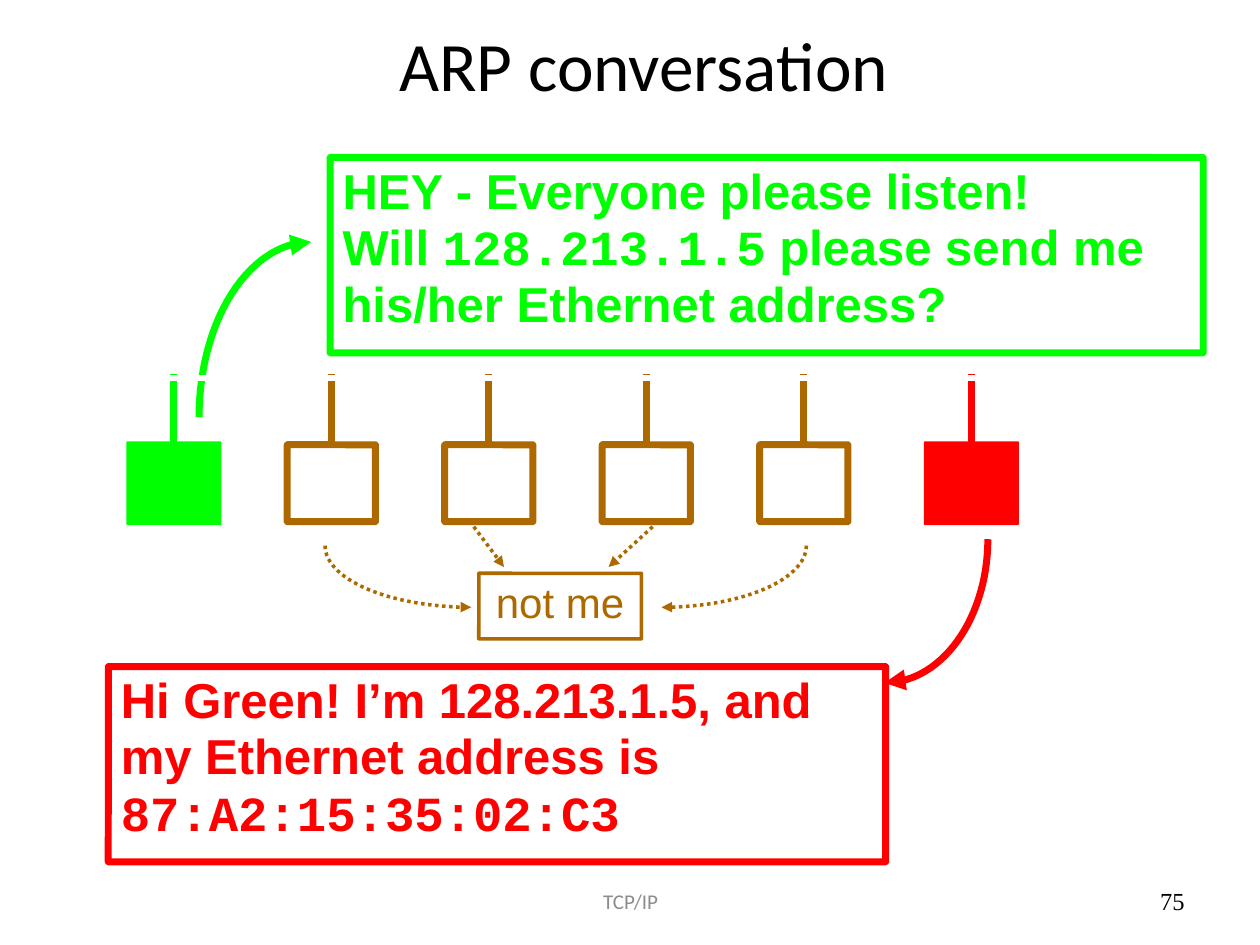
from dataclasses import dataclass
from math import cos, pi, sin

from lxml import etree
from pptx import Presentation
from pptx.dml.color import RGBColor
from pptx.enum.dml import MSO_LINE
from pptx.enum.shapes import MSO_CONNECTOR, MSO_SHAPE
from pptx.enum.text import MSO_ANCHOR, PP_ALIGN
from pptx.oxml.ns import qn
from pptx.util import Inches, Pt

ROUNDED = MSO_SHAPE.ROUNDED_RECTANGLE
STRAIGHT = MSO_CONNECTOR.STRAIGHT
DOTTED = MSO_LINE.ROUND_DOT
TOP, MIDDLE = MSO_ANCHOR.TOP, MSO_ANCHOR.MIDDLE
LEFT, CENTER, RIGHT = PP_ALIGN.LEFT, PP_ALIGN.CENTER, PP_ALIGN.RIGHT
GREEN, RED, BROWN = "00FF00", "FF0000", "AD6900"
WHITE, BLACK, GRAY = "FFFFFF", "000000", "8C8C8C"
SANS, MONO = "Arial", "Courier New"
ARC_STEPS = 30
WIRE_TOP = 2.97


@dataclass(frozen=True)
class Station:
    """A host on the network, with an optional solid fill."""
    center: float
    color: str
    solid: bool = False


@dataclass(frozen=True)
class Arrow:
    """An arrow from its start to its tip."""
    start: tuple[float, float]
    tip: tuple[float, float]
    color: str = BROWN
    width: float = 2
    dash: MSO_LINE | None = DOTTED


def rgb(color: str) -> RGBColor:
    """Turn a hex string into a colour."""
    return RGBColor.from_string(color)


def style_line(shape, color: str, width: float, dash=None, arrow=False) -> None:
    """Format an outline or a line, with an arrowhead at its end if asked."""
    shape.line.color.rgb = rgb(color)
    shape.line.width = Pt(width)
    if dash is not None:
        shape.line.dash_style = dash
    if arrow:
        etree.SubElement(shape.line._get_or_add_ln(), qn("a:tailEnd"), type="triangle")


def write_text(shape, paragraphs, *, size, color, font=SANS, bold=False,
               align=LEFT, anchor=TOP, spacing=0.96) -> None:
    """Write paragraphs of (text, font) runs; a plain string is a single run."""
    frame = shape.text_frame
    frame.word_wrap = True
    frame.vertical_anchor = anchor
    for index, content in enumerate(paragraphs):
        paragraph = frame.paragraphs[0] if index == 0 else frame.add_paragraph()
        paragraph.alignment = align
        paragraph.line_spacing = spacing
        runs = [(content, font)] if isinstance(content, str) else content
        for words, typeface in runs:
            run = paragraph.add_run()
            run.text = words
            run.font.name = typeface
            run.font.size = Pt(size)
            run.font.bold = bold
            run.font.color.rgb = rgb(color)


def add_label(slide, left, top, width, height, words: str, **text_format) -> None:
    """Add a text box with one line of text."""
    label = slide.shapes.add_textbox(Inches(left), Inches(top), Inches(width), Inches(height))
    write_text(label, [words], anchor=MIDDLE, **text_format)


def add_box(slide, left, top, width, height, color: str, line_width, solid=False):
    """Add a barely rounded box with a coloured outline."""
    box = slide.shapes.add_shape(
        ROUNDED, Inches(left), Inches(top), Inches(width), Inches(height))
    box.adjustments[0] = 0.003
    box.shadow.inherit = False
    if solid:
        box.fill.solid()
        box.fill.fore_color.rgb = rgb(color)
    else:
        box.fill.background()
    style_line(box, color, line_width)
    return box


def add_line(slide, start, end, color: str, width, dash=None, arrow=False):
    """Add a straight line without a shadow."""
    line = slide.shapes.add_connector(STRAIGHT, *map(Inches, (*start, *end)))
    style_line(line, color, width, dash, arrow)
    etree.SubElement(line._element.spPr, qn("a:effectLst"))
    return line


def add_station(slide, station: Station) -> None:
    """Add a station box and the wire that leaves its top."""
    width, height, line_width = (0.74, 0.65, 1) if station.solid else (0.7, 0.61, 4)
    top = 3.835 - height / 2
    box = add_box(slide, station.center - width / 2, top, width, height,
                  station.color, line_width, station.solid)
    wire = add_line(slide, (station.center, top), (station.center, WIRE_TOP),
                    station.color, 4)
    wire.begin_connect(box, 0)


def add_arc(slide, arrow: Arrow) -> None:
    """Add a quarter ellipse that leaves vertically and arrives horizontally."""
    (start_x, start_y), (tip_x, tip_y) = arrow.start, arrow.tip
    angles = [pi / 2 * step / ARC_STEPS for step in range(ARC_STEPS + 1)]
    points = [(Inches(tip_x + (start_x - tip_x) * cos(angle)),
               Inches(start_y + (tip_y - start_y) * sin(angle))) for angle in angles]
    builder = slide.shapes.build_freeform(*points[0])
    builder.add_line_segments(points[1:], close=False)
    arc = builder.convert_to_shape()
    arc.shadow.inherit = False
    arc.fill.background()
    style_line(arc, arrow.color, arrow.width, arrow.dash, arrow=True)


def main() -> None:
    """Build the ARP conversation slide."""
    deck = Presentation()
    deck.slide_width, deck.slide_height = Inches(10), Inches(7.5)
    slide = deck.slides.add_slide(deck.slide_layouts[6])

    add_label(slide, 0.86, 0.14, 8.5, 0.8, "ARP conversation",
              size=39.6, color=BLACK, font="Calibri", align=CENTER)

    bystanders = [Station(2.63 + 1.25 * index, BROWN) for index in range(4)]
    for station in [Station(1.38, GREEN, True), *bystanders, Station(7.71, RED, True)]:
        add_station(slide, station)

    question = add_box(slide, 2.62, 1.25, 6.93, 1.55, GREEN, 4)
    write_text(question, [
        "HEY - Everyone please listen!",
        [("Will ", SANS), ("128.213.1.5", MONO),
         (" please send me his/her Ethernet address?", SANS)],
    ], size=28, color=GREEN, bold=True)
    add_arc(slide, Arrow((1.58, 3.31), (2.47, 1.92), GREEN, 4, None))
    add_line(slide, (0.86, 3), (8.72, 3), WHITE, 4)

    denial = add_box(slide, 3.8, 4.55, 1.29, 0.52, BROWN, 2)
    write_text(denial, ["not me"], size=24, color=BROWN, align=CENTER)
    for arrow in (Arrow((6.4, 4.33), (5.25, 4.82)), Arrow((2.58, 4.33), (3.74, 4.82))):
        add_arc(slide, arrow)
    for arrow in (Arrow((3.76, 4.18), (4, 4.5)), Arrow((5.18, 4.18), (4.83, 4.5))):
        add_line(slide, arrow.start, arrow.tip, arrow.color, arrow.width, arrow.dash, True)

    answer = add_box(slide, 0.86, 5.29, 6.17, 1.55, RED, 4)
    write_text(answer, [[
        ("Hi Green! I’m 128.213.1.5, and my Ethernet address is ", SANS),
        ("87:A2:15:35:02:C3", MONO),
    ]], size=28, color=RED, bold=True)
    add_arc(slide, Arrow((7.84, 4.28), (7.02, 5.42), RED, 4, None))

    add_label(slide, 3.42, 6.95, 3.17, 0.4, "TCP/IP",
              size=12, color=GRAY, font="Calibri", align=CENTER, spacing=1)
    add_label(slide, 7.17, 6.95, 2.33, 0.4, "75",
              size=14, color=BLACK, font="Times New Roman", align=RIGHT, spacing=1)
    deck.save("out.pptx")


if __name__ == "__main__":
    main()
